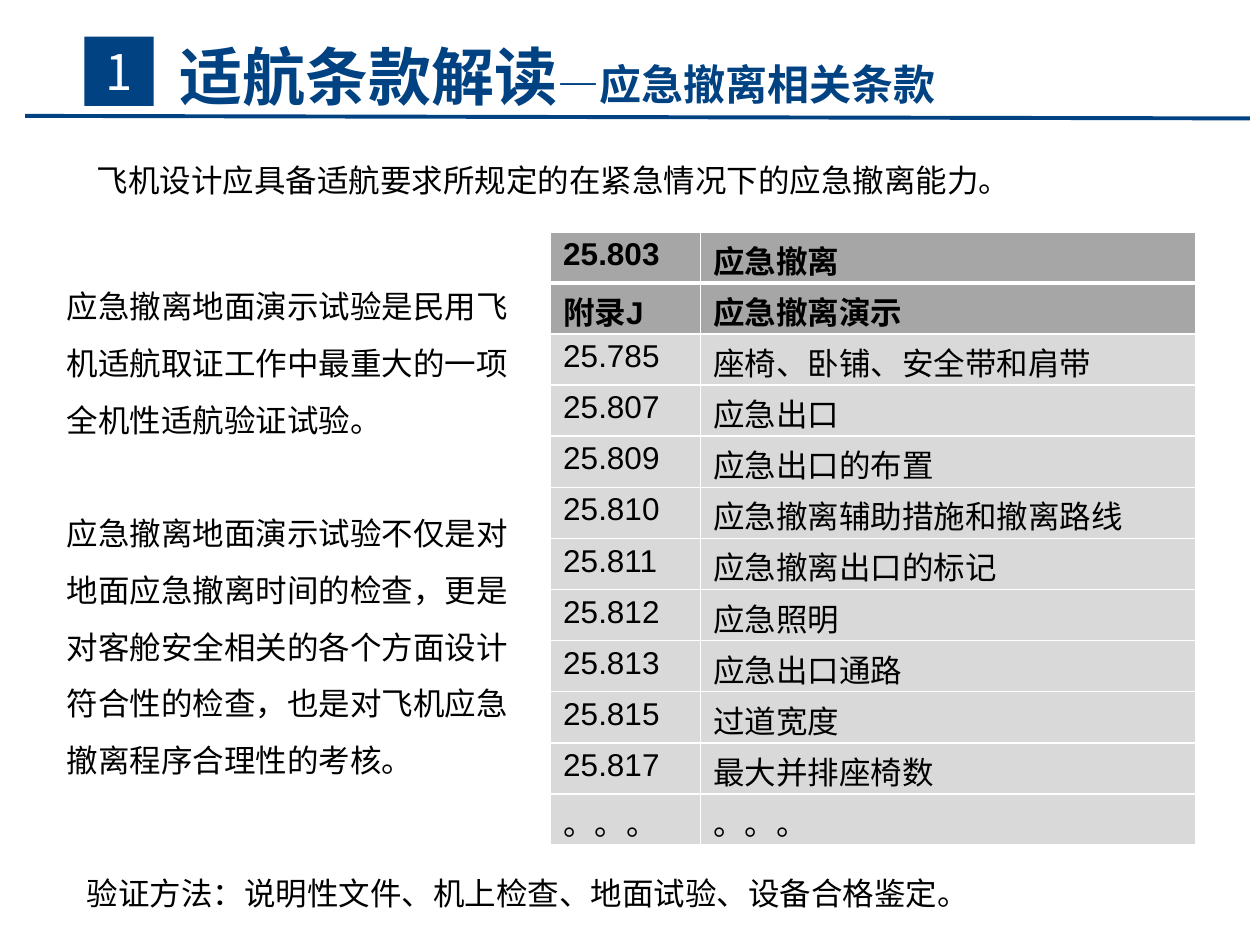
"""Build the slide on emergency evacuation airworthiness clauses."""
from lxml import etree
from pptx import Presentation
from pptx.dml.color import RGBColor
from pptx.enum.shapes import MSO_CONNECTOR, MSO_SHAPE
from pptx.enum.text import MSO_ANCHOR, PP_ALIGN
from pptx.oxml import parse_xml
from pptx.oxml.ns import nsdecls, qn
from pptx.util import Inches, Pt

STRAIGHT = MSO_CONNECTOR.STRAIGHT
RECTANGLE = MSO_SHAPE.RECTANGLE
MIDDLE, TOP = MSO_ANCHOR.MIDDLE, MSO_ANCHOR.TOP
CENTER, LEFT = PP_ALIGN.CENTER, PP_ALIGN.LEFT

THEME = {
    "navy": RGBColor.from_string("004282"),
    "white": RGBColor.from_string("FFFFFF"),
    "key_row": RGBColor.from_string("A6A6A6"),
    "plain_row": RGBColor.from_string("D9D9D9"),
    "border": "FFFFFF",
    "title": {"name": "Noto Sans CJK SC", "size": Pt(36), "bold": True},
    "subtitle": {"name": "Noto Sans CJK SC", "size": Pt(24), "bold": True},
    "number": {"name": "Noto Sans CJK SC", "size": Pt(28), "bold": False},
    "body": {"name": "Arial", "size": Pt(18), "bold": False},
    "key": {"name": "Arial", "size": Pt(18), "bold": True},
}
BLACK = RGBColor.from_string("000000")

deck = Presentation()
deck.slide_width, deck.slide_height = Inches(10), Inches(7.5)
slide = deck.slides.add_slide(deck.slide_layouts[6])
COLUMN, ROW = deck.slide_width / 100, deck.slide_height / 75


def place(left, top, width, height):
    return (int(left * COLUMN), int(top * ROW),
            int(width * COLUMN), int(height * ROW))


def write(paragraph, text, style, color=BLACK):
    run = paragraph.add_run()
    run.text = text
    for attribute, value in THEME[style].items():
        setattr(run.font, attribute, value)
    run.font.color.rgb = color


left, top, right, bottom = place(2, 9.2, 99.2, 9.4)
rule = slide.shapes.add_connector(STRAIGHT, left, top, right, bottom)
rule.line.color.rgb = THEME["navy"]
rule.line.width = Pt(2.25)
etree.SubElement(rule._element.spPr, qn("a:effectLst"))

heading = slide.shapes.add_textbox(*place(13, 2.8, 62.5, 6.4)).text_frame
heading_format = {"word_wrap": True, "vertical_anchor": MIDDLE,
                  "margin_left": 0, "margin_right": 0}
for attribute, value in heading_format.items():
    setattr(heading, attribute, value)
heading.paragraphs[0].alignment = CENTER
write(heading.paragraphs[0], "适航条款解读", "title", THEME["navy"])
write(heading.paragraphs[0], "—应急撤离相关条款", "subtitle", THEME["navy"])

badge = slide.shapes.add_shape(RECTANGLE, *place(6.7, 2.9, 5.5, 5.5))
badge.shadow.inherit = False
badge.fill.solid()
badge.fill.fore_color.rgb = THEME["navy"]
badge.line.fill.background()
badge.text_frame.vertical_anchor = MIDDLE
badge.text_frame.paragraphs[0].alignment = CENTER
write(badge.text_frame.paragraphs[0], "1", "number", THEME["white"])

passages = [
    ((6.7, 12.3, 84.3, 4), 1,
     ["飞机设计应具备适航要求所规定的在紧急情况下的应急撤离能力。"]),
    ((5.9, 68.9, 84.3, 4), 1,
     ["验证方法：说明性文件、机上检查、地面试验、设备合格鉴定。"]),
    ((4.3, 20.8, 37.3, 41.9), 1.5,
     ["应急撤离地面演示试验是民用飞机适航取证工作中最重大的一项全机性适航验证试验。",
      "应急撤离地面演示试验不仅是对地面应急撤离时间的检查，更是对客舱安全相关的各个方面"
      "设计符合性的检查，也是对飞机应急撤离程序合理性的考核。"]),
]
for area, spacing, sentences in passages:
    passage = slide.shapes.add_textbox(*place(*area)).text_frame
    passage.word_wrap = True
    for order, sentence in enumerate(sentences):
        paragraph = passage.add_paragraph() if order else passage.paragraphs[0]
        paragraph.alignment = LEFT
        paragraph.line_spacing = spacing
        paragraph.space_before = Pt(32.5 * order)
        write(paragraph, sentence, "body")

clauses = [
    ("25.803", "应急撤离"),
    ("附录J", "应急撤离演示"),
    ("25.785", "座椅、卧铺、安全带和肩带"),
    ("25.807", "应急出口"),
    ("25.809", "应急出口的布置"),
    ("25.810", "应急撤离辅助措施和撤离路线"),
    ("25.811", "应急撤离出口的标记"),
    ("25.812", "应急照明"),
    ("25.813", "应急出口通路"),
    ("25.815", "过道宽度"),
    ("25.817", "最大并排座椅数"),
    ("。。。", "。。。"),
]
KEY_CLAUSES = 2
cell_format = {"vertical_anchor": TOP, "margin_top": Inches(0.04), "margin_bottom": 0}
clause_table = slide.shapes.add_table(
    len(clauses), 2, *place(43.7, 18.4, 51.2, 48.7)).table
for column, share in zip(clause_table.columns, (11.9, 39.3)):
    column.width = int(share * COLUMN)
for row_index, clause in enumerate(clauses):
    is_key = row_index < KEY_CLAUSES
    clause_table.rows[row_index].height = int(48.7 * ROW / len(clauses))
    for column_index, text in enumerate(clause):
        cell = clause_table.cell(row_index, column_index)
        cell.fill.solid()
        cell.fill.fore_color.rgb = THEME["key_row" if is_key else "plain_row"]
        for attribute, value in cell_format.items():
            setattr(cell, attribute, value)
        write(cell.text_frame.paragraphs[0], text, "key" if is_key else "body")
        for position, side in enumerate(("lnL", "lnR", "lnT", "lnB")):
            under_header = (row_index, side) in ((0, "lnB"), (1, "lnT"))
            border = parse_xml(
                f'<a:{side} {nsdecls("a")} w="{Pt(3 if under_header else 1)}">'
                f'<a:solidFill><a:srgbClr val="{THEME["border"]}"/></a:solidFill>'
                f'</a:{side}>')
            cell._tc.get_or_add_tcPr().insert(position, border)

deck.save("out.pptx")
